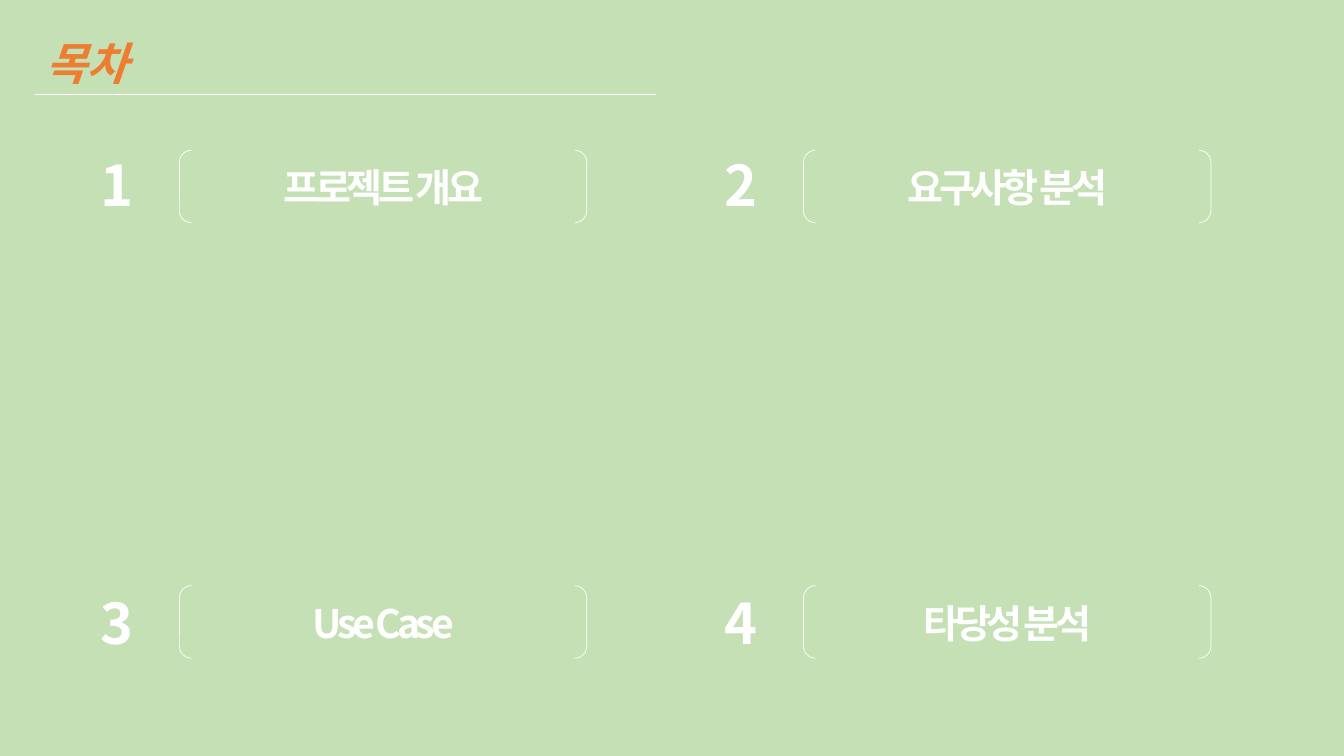
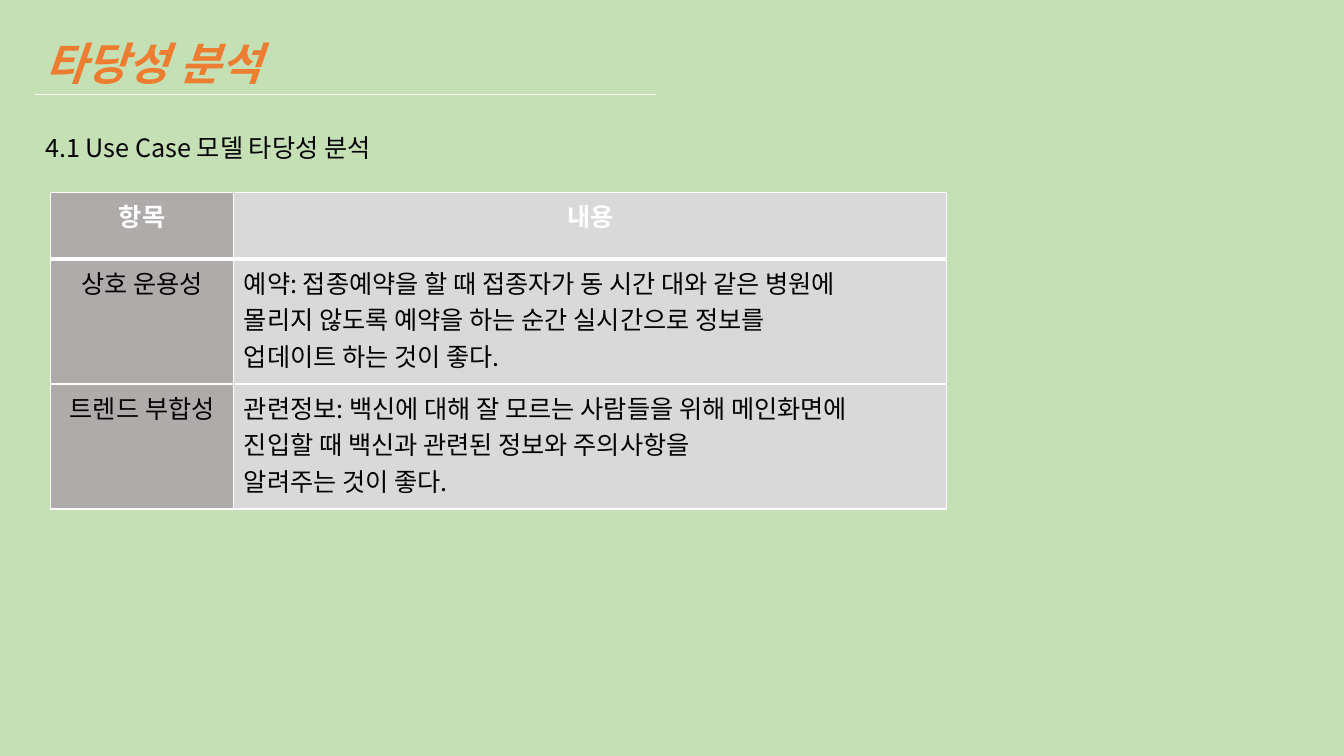
from dataclasses import dataclass
from itertools import product

from lxml.etree import SubElement
from pptx import Presentation
from pptx.dml.color import RGBColor
from pptx.enum.shapes import MSO_CONNECTOR, MSO_SHAPE
from pptx.enum.text import MSO_ANCHOR, MSO_AUTO_SIZE, PP_ALIGN
from pptx.oxml.ns import qn
from pptx.util import Emu, Pt

EMU_PER_PX = 9144  # 100 px to the inch
TITLE_ONLY = 5


def px(length):
    return Emu(length * EMU_PER_PX)


@dataclass(frozen=True)
class Theme:
    font: str = "Noto Sans CJK KR"
    background: str = "C5E0B4"
    accent: str = "ED7D31"
    light: str = "FFFFFF"
    dark: str = "000000"
    item_fill: str = "AFABAB"
    detail_fill: str = "D9D9D9"
    title_size: int = 32
    number_size: int = 40
    label_size: int = 28
    body_size: int = 18
    label_spacing: int = -3
    hairline: float = 0.5
    border: int = 1
    header_border: int = 3


class Deck:
    def __init__(self, theme):
        self.theme = theme
        self.prs = Presentation()
        self.prs.slide_width, self.prs.slide_height = px(1333), px(750)
        self.slide = None
        fill = self.prs.slide_master.background.fill
        fill.solid()
        fill.fore_color.rgb = RGBColor.from_string(theme.background)

    def set_text(self, frame, text, size, color, align=PP_ALIGN.LEFT,
                 bold=False, italic=False, spacing=0):
        frame.text = text
        for paragraph in frame.paragraphs:
            paragraph.alignment = align
            for run in paragraph.runs:
                font = run.font
                font.name, font.size = self.theme.font, Pt(size)
                font.bold, font.italic = bold, italic
                font.color.rgb = RGBColor.from_string(color)
                properties = run._r.get_or_add_rPr()
                SubElement(properties, qn("a:ea"), typeface=self.theme.font)
                if spacing:
                    properties.set("spc", str(spacing * 100))

    def fit(self, frame, wrap):
        frame.word_wrap = wrap
        frame.auto_size = MSO_AUTO_SIZE.SHAPE_TO_FIT_TEXT
        frame.vertical_anchor = MSO_ANCHOR.MIDDLE

    def outline(self, line):
        line.color.rgb = RGBColor.from_string(self.theme.light)
        line.width = Pt(self.theme.hairline)

    def new_slide(self, heading, width):
        self.slide = self.prs.slides.add_slide(self.prs.slide_layouts[TITLE_ONLY])
        title = self.slide.shapes.title
        title.left, title.top, title.width, title.height = map(px, (35, 30, width, 64))
        self.fit(title.text_frame, wrap=False)
        self.set_text(title.text_frame, heading, self.theme.title_size,
                      self.theme.accent, bold=True, italic=True)
        self.rule(35, 94, 651)

    def rule(self, left, top, right):
        rule = self.slide.shapes.add_connector(
            MSO_CONNECTOR.STRAIGHT, px(left), px(top), px(right), px(top))
        self.outline(rule.line)
        SubElement(rule._element.spPr, qn("a:effectLst"))

    def text(self, left, top, width, height, text, size, color, wrap=True, **style):
        box = self.slide.shapes.add_textbox(px(left), px(top), px(width), px(height))
        self.fit(box.text_frame, wrap)
        self.set_text(box.text_frame, text, size, color, **style)

    def bracket(self, left, top, width, height):
        bracket = self.slide.shapes.add_shape(
            MSO_SHAPE.DOUBLE_BRACKET, px(left), px(top), px(width), px(height))
        bracket.shadow.inherit = False
        bracket.fill.background()
        self.outline(bracket.line)

    def chapter(self, left, top, number_top, number, label):
        theme = self.theme
        self.bracket(left, top, 404, 72)
        self.text(left - 88, number_top, 53, 77, str(number), theme.number_size,
                  theme.light, wrap=False, bold=True)
        self.text(left + 62, top + 8, 280, 57, label, theme.label_size, theme.light,
                  align=PP_ALIGN.CENTER, bold=True, spacing=theme.label_spacing)

    def cell_borders(self, cell, top, bottom):
        properties = cell._tc.get_or_add_tcPr()
        side = self.theme.border
        for tag, width in (("lnL", side), ("lnR", side), ("lnT", top), ("lnB", bottom)):
            line = SubElement(properties, qn(f"a:{tag}"), w=str(Pt(width)))
            fill = SubElement(line, qn("a:solidFill"))
            SubElement(fill, qn("a:srgbClr"), val=self.theme.light)

    def table(self, left, top, widths, heights, rows):
        theme = self.theme
        table = self.slide.shapes.add_table(
            len(rows), len(widths), px(left), px(top),
            px(sum(widths)), px(sum(heights))).table
        table.horz_banding = False
        for column, width in zip(table.columns, widths):
            column.width = px(width)
        for row, height in zip(table.rows, heights):
            row.height = px(height)
        for r, c in product(range(len(rows)), range(len(widths))):
            cell = table.cell(r, c)
            header = r == 0
            self.cell_borders(
                cell,
                top=theme.header_border if r == 1 else theme.border,
                bottom=theme.header_border if header else theme.border)
            cell.fill.solid()
            cell.fill.fore_color.rgb = RGBColor.from_string(
                theme.detail_fill if c else theme.item_fill)
            self.set_text(cell.text_frame, rows[r][c], theme.body_size,
                          theme.light if header else theme.dark, bold=header,
                          align=PP_ALIGN.CENTER if header or c == 0 else PP_ALIGN.LEFT)


def build_contents(deck):
    deck.new_slide("목차", 110)

    # Chapters in two rows of two: bracket top and number top per row
    chapters = ("프로젝트 개요", "요구사항 분석", "Use Case", "타당성 분석")
    places = product(((149, 144), (581, 579)), (178, 797))
    for number, (label, ((top, number_top), left)) in enumerate(zip(chapters, places), 1):
        deck.chapter(left, top, number_top, number, label)


def build_feasibility(deck):
    deck.new_slide("타당성 분석", 260)

    # Section heading
    deck.text(35, 126, 373, 40, "4.1 Use Case 모델 타당성 분석",
              deck.theme.body_size, deck.theme.dark)

    # Criteria and findings
    deck.table(50, 191, (182, 707), (66, 124, 124), (
        ("항목", "내용"),
        ("상호 운용성",
         "예약: 접종예약을 할 때 접종자가 동 시간 대와 같은 병원에\n"
         "몰리지 않도록 예약을 하는 순간 실시간으로 정보를\n"
         "업데이트 하는 것이 좋다."),
        ("트렌드 부합성",
         "관련정보: 백신에 대해 잘 모르는 사람들을 위해 메인화면에\n"
         "진입할 때 백신과 관련된 정보와 주의사항을\n"
         "알려주는 것이 좋다."),
    ))


def main():
    deck = Deck(Theme())
    build_contents(deck)
    build_feasibility(deck)
    deck.prs.save("out.pptx")


if __name__ == "__main__":
    main()
